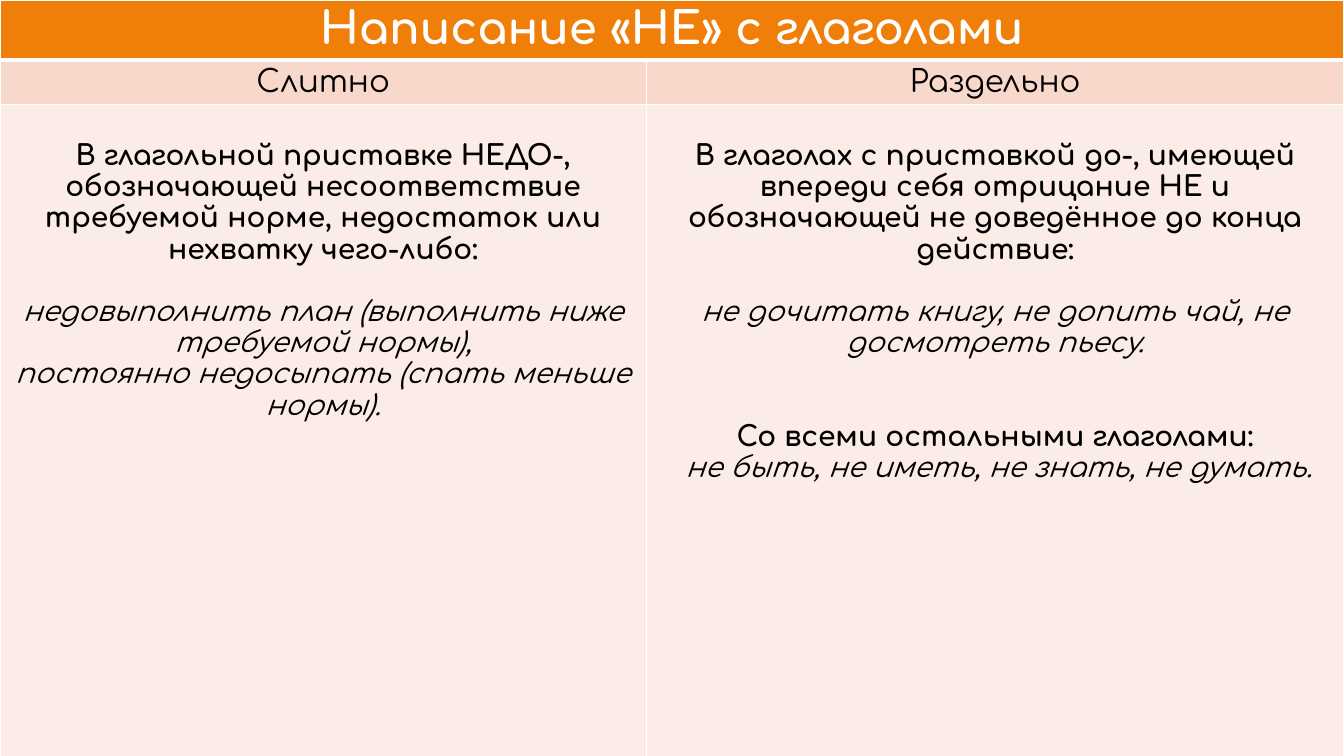
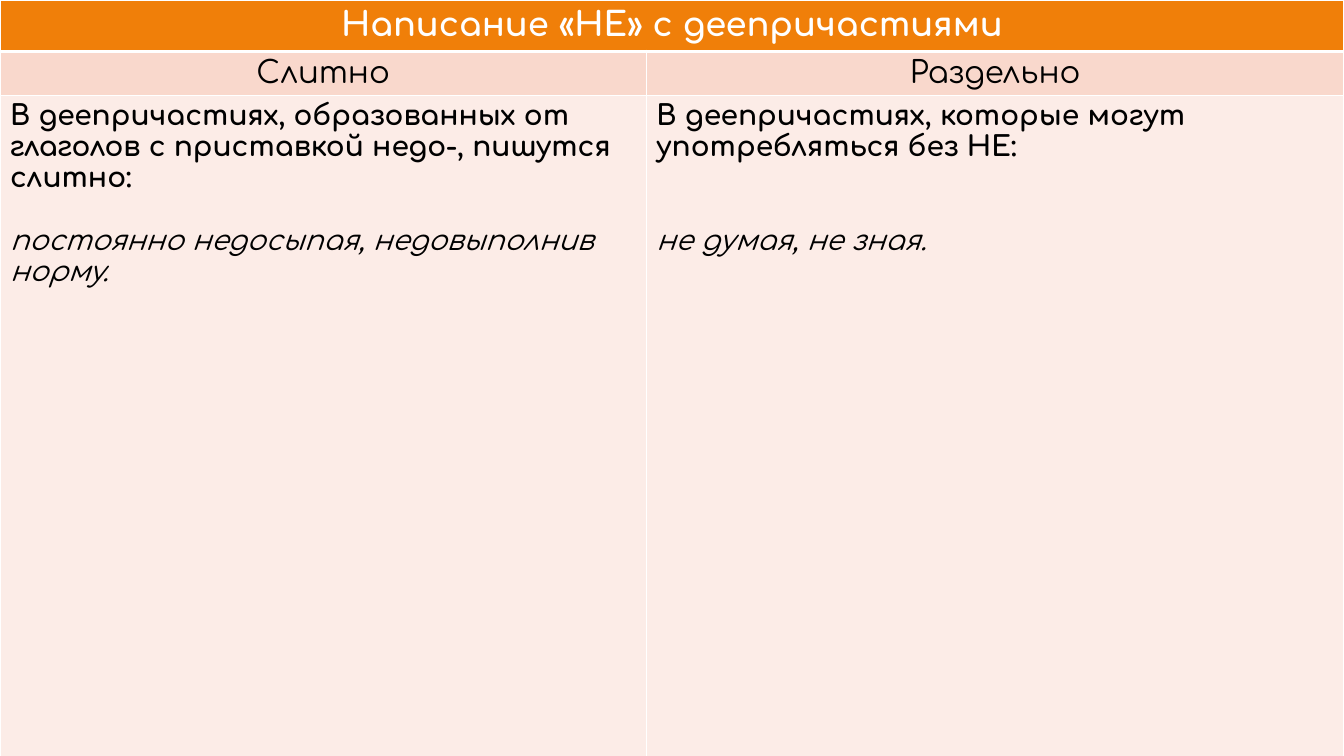
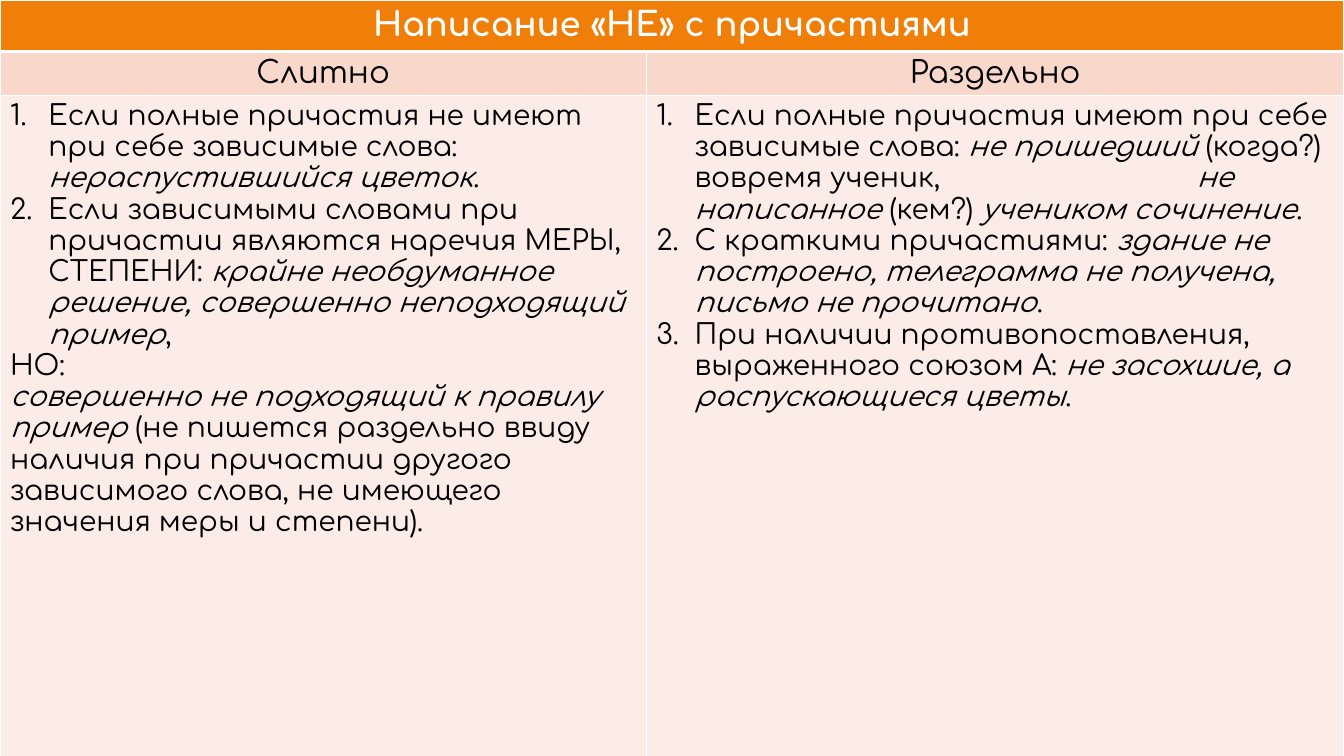
from dataclasses import dataclass

from lxml import etree
from pptx import Presentation
from pptx.dml.color import RGBColor
from pptx.enum import text
from pptx.oxml import ns
from pptx.util import Inches, Pt


@dataclass(frozen=True)
class Theme:
    font: str = "Comfortaa"
    background: str = "000000"
    title_fill: str = "F07F09"
    heading_fill: str = "F9D8CC"
    body_fill: str = "FCECE7"
    line: str = "FFFFFF"
    title_text: str = "FFFFFF"
    body_text: str = "000000"
    heading_size: int = 22
    body_size: int = 20
    body_line: float = 22.3
    thin: int = 1
    thick: int = 3


THEME = Theme()
WIDTH, HEIGHT = 13.33, 7.5
COLUMNS = (6.41, 6.92)
HEADING_HEIGHT, BODY_HEIGHT = 0.42, 6.57
HEADINGS = ("Слитно", "Раздельно")
CELL_MARGIN, LIST_INDENT = 0.05, 0.38

REGULAR = {"bold": False, "italic": False}
BOLD = {"bold": True, "italic": False}
ITALIC = {"bold": False, "italic": True}
CENTER, LEFT = text.PP_ALIGN.CENTER, text.PP_ALIGN.LEFT


@dataclass(frozen=True)
class Item:
    """One paragraph: (text, format) runs, empty lines above, list number, tab stop."""
    runs: tuple
    gap: int = 0
    numbered: bool = False
    tab: float = 0


def add_child(parent, tag, **attributes):
    return etree.SubElement(parent, ns.qn(tag), attributes)


def draw_borders(cell, top, bottom):
    properties = cell._tc.get_or_add_tcPr()
    widths = {"a:lnL": THEME.thin, "a:lnR": THEME.thin, "a:lnT": top, "a:lnB": bottom}
    for tag, width in widths.items():
        line = add_child(properties, tag, w=str(Pt(width)))
        add_child(add_child(line, "a:solidFill"), "a:srgbClr", val=THEME.line)


def style_cell(cell, fill, top=THEME.thin, bottom=THEME.thin):
    draw_borders(cell, top, bottom)
    cell.fill.solid()
    cell.fill.fore_color.rgb = RGBColor.from_string(fill)


def add_run(paragraph, words, size, color, format_values):
    run = paragraph.add_run()
    run.text = words
    values = {"name": THEME.font, "size": Pt(size), **format_values}
    for name, value in values.items():
        setattr(run.font, name, value)
    run.font.color.rgb = RGBColor.from_string(color)


def write_label(cell, words, size, color, format_values):
    cell.vertical_anchor = text.MSO_ANCHOR.MIDDLE
    paragraph = cell.text_frame.paragraphs[0]
    paragraph.alignment = CENTER
    add_run(paragraph, words, size, color, format_values)


def format_list(paragraph, item):
    properties = paragraph._p.get_or_add_pPr()
    if item.numbered:
        properties.set("marL", str(Inches(LIST_INDENT)))
        properties.set("indent", str(-Inches(LIST_INDENT)))
        add_child(properties, "a:buFont", typeface="+mj-lt")
        add_child(properties, "a:buAutoNum", type="arabicPeriod")
    if item.tab:
        stops = add_child(properties, "a:tabLst")
        add_child(stops, "a:tab", pos=str(Inches(item.tab)), algn="l")


def write_body(cell, items, alignment):
    """Write the items; a gap above the first one becomes the cell's top margin."""
    frame = cell.text_frame
    cell.margin_top = Inches(CELL_MARGIN) + Pt(items[0].gap * THEME.body_line)
    for index, item in enumerate(items):
        paragraph = frame.add_paragraph() if index else frame.paragraphs[0]
        paragraph.alignment = alignment
        if index and item.gap:
            paragraph.space_before = Pt(item.gap * THEME.body_line)
        format_list(paragraph, item)
        for words, format_values in item.runs:
            add_run(paragraph, words, THEME.body_size, THEME.body_text, format_values)


def add_rule_slide(presentation, title, bodies, title_size=24, title_height=0.51,
                   alignment=LEFT):
    slide = presentation.slides.add_slide(presentation.slide_layouts[6])
    slide.background.fill.solid()
    slide.background.fill.fore_color.rgb = RGBColor.from_string(THEME.background)

    heights = (title_height, HEADING_HEIGHT, BODY_HEIGHT)
    table = slide.shapes.add_table(len(heights), len(COLUMNS), 0, 0,
                                   Inches(WIDTH), Inches(sum(heights))).table
    table.horz_banding = False
    for row, height in zip(table.rows, heights):
        row.height = Inches(height)

    title_cell = table.cell(0, 0)
    title_cell.merge(table.cell(0, 1))
    write_label(title_cell, title, title_size, THEME.title_text, BOLD)
    for index, width in enumerate(COLUMNS):
        table.columns[index].width = Inches(width)
        title_part, heading, body = (table.cell(row, index) for row in range(3))
        style_cell(title_part, THEME.title_fill, bottom=THEME.thick)
        style_cell(heading, THEME.heading_fill, top=THEME.thick)
        style_cell(body, THEME.body_fill)
        write_label(heading, HEADINGS[index], THEME.heading_size, THEME.body_text, REGULAR)
        write_body(body, bodies[index], alignment)


VERBS = (
    (
        Item((("B глагольной приставке НЕДО-, обозначающей несоответствие требуемой "
               "норме, недостаток или нехватку чего-либо:", BOLD),), gap=1),
        Item((("недовыполнить план (выполнить ниже требуемой нормы),", ITALIC),), gap=1),
        Item((("постоянно недосыпать (спать меньше нормы).", ITALIC),)),
    ),
    (
        Item((("В глаголах с приставкой до-, имеющей впереди себя отрицание НЕ и "
               "обозначающей не доведённое до конца действие:", BOLD),), gap=1),
        Item((("не дочитать книгу, не допить чай, не досмотреть пьесу.", ITALIC),), gap=1),
        Item((("Со всеми остальными глаголами:", BOLD),), gap=2),
        Item(((" не быть, не иметь, не знать, не думать.", ITALIC),)),
    ),
)

GERUNDS = (
    (
        Item((("В деепричастиях, образованных от глаголов с приставкой недо-, "
               "пишутся слитно:", BOLD),)),
        Item((("постоянно недосыпая, недовыполнив норму.", ITALIC),), gap=1),
    ),
    (
        Item((("В деепричастиях, которые могут употребляться без НЕ:", BOLD),)),
        Item((("не думая, не зная.", ITALIC),), gap=2),
    ),
)

PARTICIPLES = (
    (
        Item((("Если полные причастия не имеют при себе зависимые слова: ", REGULAR),
              ("нераспустившийся цветок", ITALIC), (".", REGULAR)), numbered=True),
        Item((("Если зависимыми словами при причастии являются наречия МЕРЫ, "
               "СТЕПЕНИ: ", REGULAR),
              ("крайне необдуманное решение, совершенно неподходящий пример", ITALIC),
              (",", REGULAR)), numbered=True),
        Item((("HO:", REGULAR),)),
        Item((("совершенно не подходящий к правилу пример ", ITALIC),
              ("(не пишется раздельно ввиду наличия при причастии другого зависимого "
               "слова, не имеющего значения меры и степени).", REGULAR))),
    ),
    (
        Item((("Если полные причастия имеют при себе зависимые слова: ", REGULAR),
              ("не пришедший ", ITALIC), ("(когда?) вовремя ученик,\t", REGULAR),
              ("не написанное ", ITALIC), ("(кем?) ", REGULAR),
              ("учеником сочинение", ITALIC), (".", REGULAR)),
             numbered=True, tab=5.36),
        Item((("С краткими причастиями: ", REGULAR),
              ("здание не построено, телеграмма не получена, письмо не прочитано",
               ITALIC), (".", REGULAR)), numbered=True),
        Item((("При наличии противопоставления, выраженного союзом А: ", REGULAR),
              ("не засохшие, а распускающиеся цветы", ITALIC), (".", REGULAR)),
             numbered=True),
    ),
)


def main():
    presentation = Presentation()
    presentation.slide_width, presentation.slide_height = Inches(WIDTH), Inches(HEIGHT)
    add_rule_slide(presentation, "Написание «НЕ» с глаголами", VERBS,
                   title_size=32, title_height=0.59, alignment=CENTER)
    add_rule_slide(presentation, "Написание «НЕ» с деепричастиями", GERUNDS)
    add_rule_slide(presentation, "Написание «НЕ» с причастиями", PARTICIPLES)
    presentation.save("out.pptx")


if __name__ == "__main__":
    main()
